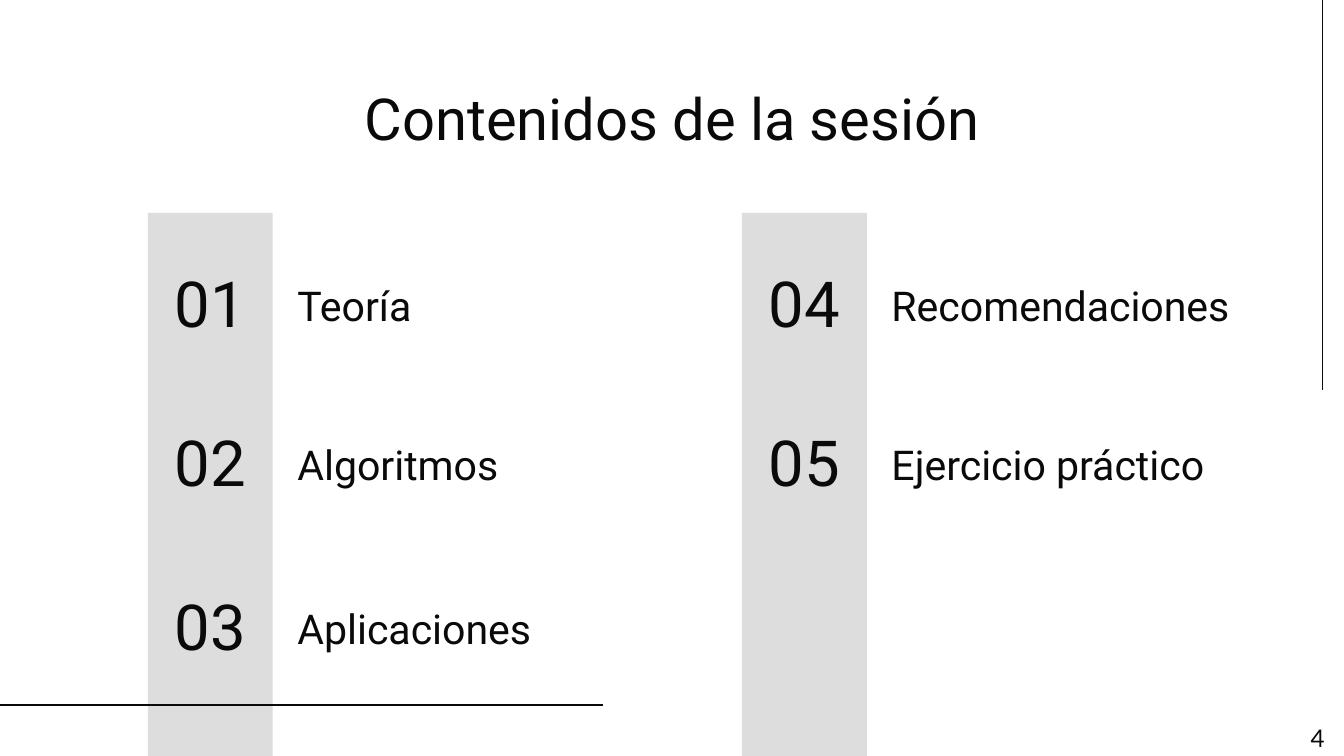
from lxml.etree import SubElement
from pptx import Presentation
from pptx.dml.color import RGBColor
from pptx.enum.shapes import MSO_CONNECTOR, MSO_SHAPE
from pptx.enum.text import MSO_ANCHOR, PP_ALIGN
from pptx.oxml.ns import qn
from pptx.util import Emu, Pt

PX = 4572
WIDTH, HEIGHT = 2000, 1125
COLORS = {"ink": "0A0A0A", "bar": "DDDDDD", "paper": "FFFFFF"}
TITLE = {"name": "Roboto", "size": Pt(31)}
NUMBER = {"name": "Roboto", "size": Pt(34)}
TOPIC = {"name": "Roboto", "size": Pt(22)}
PAGE = {"name": "Lato", "size": Pt(13)}
ROWS = (0, 236, 480)


def px(*values):
    return [Emu(v * PX) for v in values]


def color(name):
    return RGBColor.from_string(COLORS[name])


def add_text(s, box, text, font, align=PP_ALIGN.LEFT, anchor=MSO_ANCHOR.MIDDLE):
    tf = s.shapes.add_textbox(*px(*box)).text_frame
    margin = px(20)[0]
    frame = {"word_wrap": True, "vertical_anchor": anchor,
             "margin_left": margin, "margin_right": margin,
             "margin_top": margin, "margin_bottom": margin}
    for key, value in frame.items():
        setattr(tf, key, value)
    p = tf.paragraphs[0]
    p.alignment = align
    r = p.add_run()
    r.text = text
    for key, value in font.items():
        setattr(r.font, key, value)
    r.font.color.rgb = color("ink")


def add_rule(s, *ends):
    line = s.shapes.add_connector(MSO_CONNECTOR.STRAIGHT, *px(*ends))
    line.line.color.rgb = color("ink")
    line.line.width = Pt(0.75)
    SubElement(line._element.spPr, qn("a:effectLst"))


def add_bar(s, box):
    sp = s.shapes.add_shape(MSO_SHAPE.RECTANGLE, *px(*box))
    sp.shadow.inherit = False
    sp.fill.solid()
    sp.fill.fore_color.rgb = color("bar")
    sp.line.fill.background()


def add_topics(s, box, topics, first, topic_width):
    x, y, w, h = box
    add_bar(s, box)
    for i, (topic, row) in enumerate(zip(topics, ROWS)):
        add_text(s, (x - 3, y + 7 + row, w + 6, 252), f"{first + i:02d}",
                 NUMBER, PP_ALIGN.CENTER)
        add_text(s, (x + w + 17, y + 49 + row, topic_width, 176), topic, TOPIC)


def add_contents(s, box):
    x, y, w, h = box
    add_rule(s, x + 1968, y + 580, x + 1968, y)
    add_topics(s, (x + 1104, y + 317, 186, h - 317),
               ("Recomendaciones", "Ejercicio práctico"), 4, 588)
    add_topics(s, (x + 220, y + 317, 186, h - 317),
               ("Teoría", "Algoritmos", "Aplicaciones"), 1, 500)
    add_rule(s, x, y + 1049, x + 898, y + 1049)
    add_text(s, (x + 156, y + 103, w - 312, 120), "Contenidos de la sesión",
             TITLE, PP_ALIGN.CENTER, MSO_ANCHOR.TOP)
    add_text(s, (x + 1871, y + 1057, 120, 86), "4",
             PAGE, PP_ALIGN.RIGHT, MSO_ANCHOR.TOP)


def main():
    prs = Presentation()
    prs.slide_width, prs.slide_height = px(WIDTH, HEIGHT)
    s = prs.slides.add_slide(prs.slide_layouts[6])
    s.background.fill.solid()
    s.background.fill.fore_color.rgb = color("paper")
    add_contents(s, (0, 0, WIDTH, HEIGHT))
    prs.save("out.pptx")


if __name__ == "__main__":
    main()
